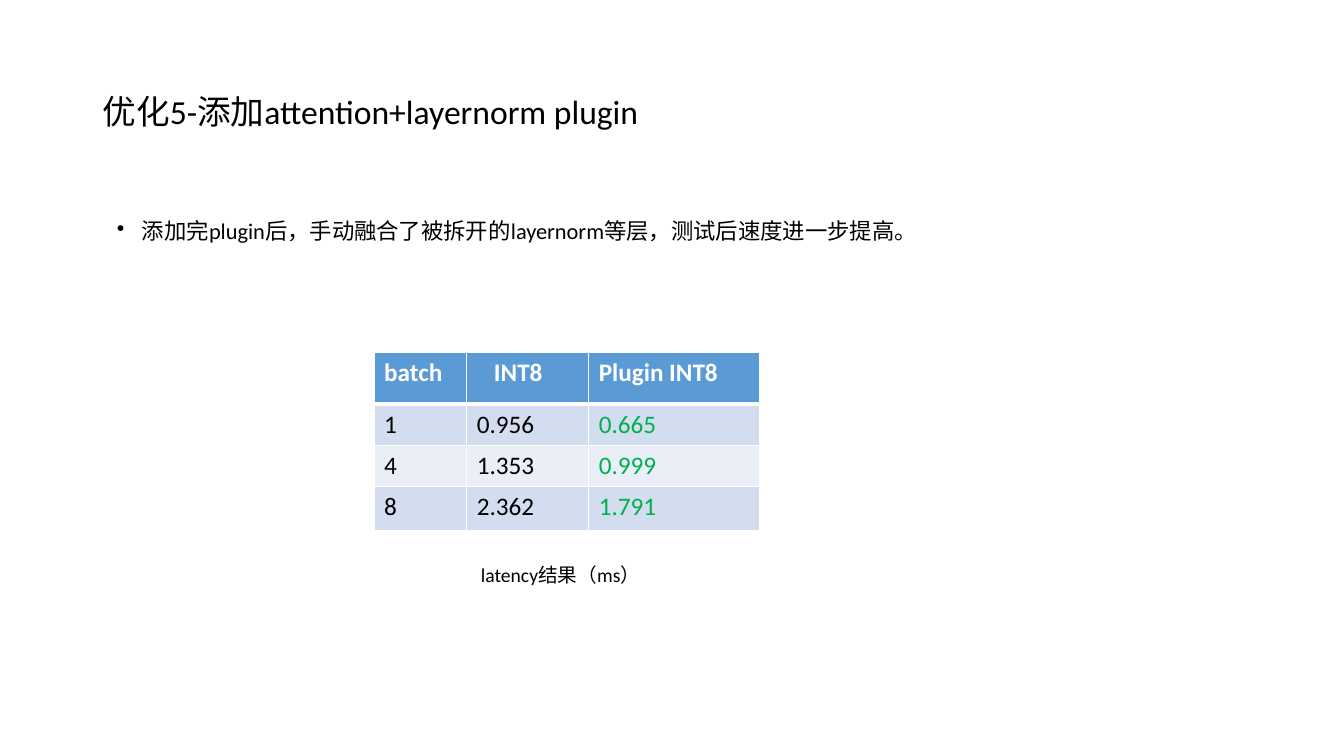
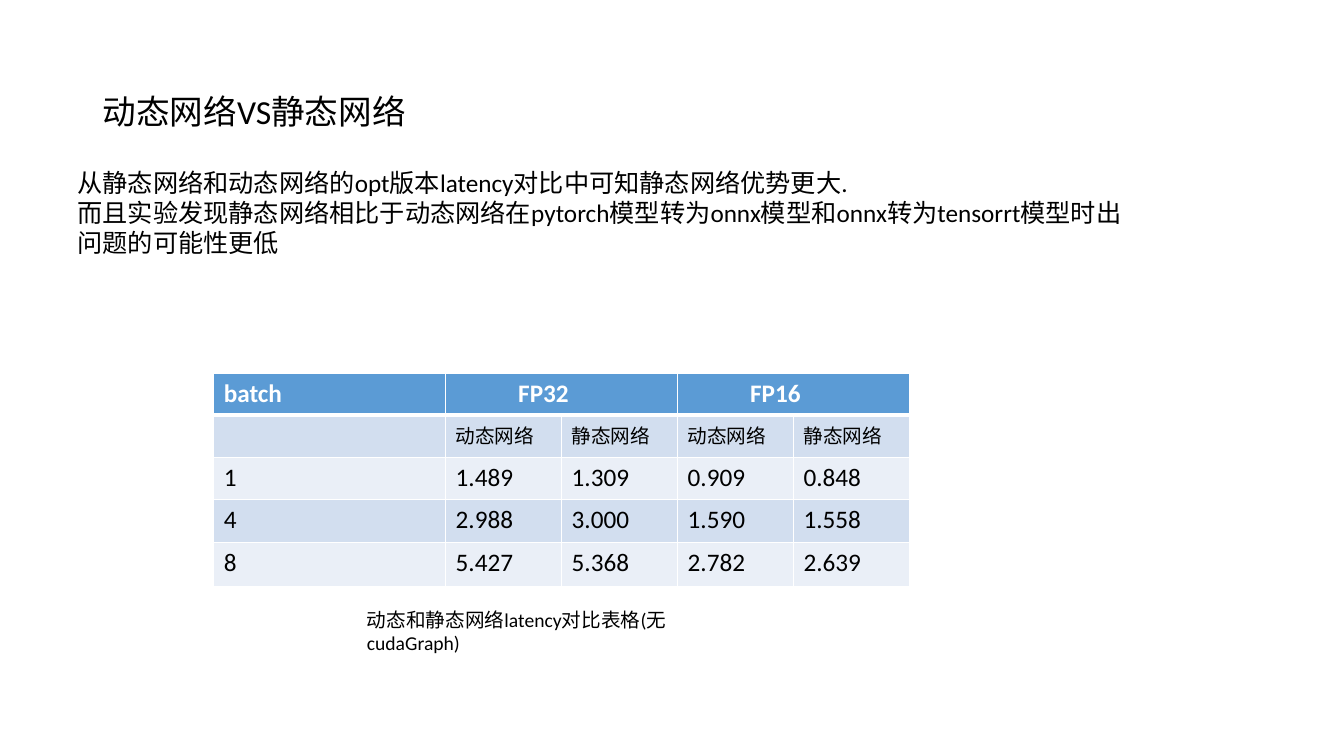
from dataclasses import dataclass
from typing import Optional

from lxml.etree import SubElement
from pptx import Presentation
from pptx.dml.color import RGBColor
from pptx.enum.text import MSO_ANCHOR, MSO_AUTO_SIZE
from pptx.oxml import parse_xml
from pptx.oxml.ns import nsdecls, qn
from pptx.util import Inches, Pt


@dataclass(frozen=True)
class Theme:
    font: str = "Calibri"
    text: str = "000000"
    white: str = "FFFFFF"
    better: str = "00B050"
    header: str = "5B9BD5"
    bands: tuple[str, str] = ("D2DEEF", "EAEFF7")
    title_size: int = 24
    body_size: int = 18
    bullet_size: int = 16
    small_size: int = 14
    rule: float = 1
    header_rule: float = 3


THEME = Theme()


@dataclass(frozen=True)
class Box:
    left: float
    top: float
    width: float
    height: float

    def lengths(self) -> tuple[int, int, int, int]:
        return (Inches(self.left), Inches(self.top),
                Inches(self.width), Inches(self.height))


@dataclass(frozen=True)
class LatencyTable:
    box: Box
    columns: tuple[float, ...]
    heights: tuple[float, ...]
    rows: tuple[tuple[str, ...], ...]
    header_inset: float
    merged_headers: tuple[tuple[int, int], ...] = ()
    subheader_row: Optional[int] = None
    better_column: Optional[int] = None


TITLE_BOX = Box(0.92, 0.4, 11.5, 1.45)

PLUGIN_TABLE = LatencyTable(
    box=Box(3.71, 3.5, 3.82, 1.77),
    columns=(0.92, 1.21, 1.69),
    heights=(0.51, 0.41, 0.41, 0.43),
    rows=(
        ("batch", "INT8", "Plugin INT8"),
        ("1", "0.956", "0.665"),
        ("4", "1.353", "0.999"),
        ("8", "2.362", "1.791"),
    ),
    header_inset=0.27,
    better_column=2,
)

NETWORK_TABLE = LatencyTable(
    box=Box(2.12, 3.7, 6.9, 2.11),
    columns=(2.3,) + (1.15,) * 4,
    heights=(0.42,) * 4 + (0.44,),
    rows=(
        ("batch", "FP32", "", "FP16", ""),
        ("",) + ("动态网络", "静态网络") * 2,
        ("1", "1.489", "1.309", "0.909", "0.848"),
        ("4", "2.988", "3.000", "1.590", "1.558"),
        ("8", "5.427", "5.368", "2.782", "2.639"),
    ),
    header_inset=0.72,
    merged_headers=((1, 2), (3, 4)),
    subheader_row=1,
)


def write(frame, text: str, *, size: int, color: str = THEME.text,
          bold: bool = False, line_spacing: Optional[float] = None,
          space_before: Optional[float] = None, bullet: bool = False) -> None:
    """Fill a text frame, one paragraph for each line of text."""
    for index, line in enumerate(text.split("\n")):
        paragraph = frame.add_paragraph() if index else frame.paragraphs[0]
        if line_spacing is not None:
            paragraph.line_spacing = line_spacing
        if space_before is not None:
            paragraph.space_before = Pt(space_before)
        if bullet:
            properties = paragraph._p.get_or_add_pPr()
            properties.set("marL", str(Inches(0.25)))
            properties.set("indent", str(Inches(-0.25)))
            SubElement(properties, qn("a:buChar")).set("char", "•")
        run = paragraph.add_run()
        run.text = line
        run.font.name = THEME.font
        run.font.size = Pt(size)
        run.font.bold = bold
        run.font.color.rgb = RGBColor.from_string(color)


def add_text(slide, box: Box, text: str, *, wrap: bool = True,
             grow: bool = False, anchor: MSO_ANCHOR = MSO_ANCHOR.TOP,
             **text_format) -> None:
    frame = slide.shapes.add_textbox(*box.lengths()).text_frame
    frame.word_wrap = wrap
    frame.auto_size = MSO_AUTO_SIZE.SHAPE_TO_FIT_TEXT if grow else MSO_AUTO_SIZE.NONE
    frame.vertical_anchor = anchor
    write(frame, text, **text_format)


def add_caption(slide, box: Box, text: str) -> None:
    add_text(slide, box, text, wrap=False, grow=True, size=THEME.small_size)


def set_borders(cell, *, top: float, bottom: float) -> None:
    properties = cell._tc.get_or_add_tcPr()
    widths = {"lnL": THEME.rule, "lnR": THEME.rule, "lnT": top, "lnB": bottom}
    for position, (edge, width) in enumerate(widths.items()):
        properties.insert(position, parse_xml(
            f'<a:{edge} {nsdecls("a")} w="{Pt(width)}"><a:solidFill>'
            f'<a:srgbClr val="{THEME.white}"/></a:solidFill></a:{edge}>'))


def add_latency_table(slide, data: LatencyTable) -> None:
    table = slide.shapes.add_table(
        len(data.rows), len(data.columns), *data.box.lengths()).table
    for column, width in zip(table.columns, data.columns):
        column.width = Inches(width)
    for row, height in zip(table.rows, data.heights):
        row.height = Inches(height)
    for first, last in data.merged_headers:
        table.cell(0, first).merge(table.cell(0, last))

    for row_index, values in enumerate(data.rows):
        is_header = row_index == 0
        fill = THEME.header if is_header else THEME.bands[(row_index - 1) % 2]
        size = THEME.small_size if row_index == data.subheader_row else THEME.body_size
        for column_index, value in enumerate(values):
            cell = table.cell(row_index, column_index)
            cell.fill.solid()
            cell.fill.fore_color.rgb = RGBColor.from_string(fill)
            set_borders(
                cell,
                top=THEME.header_rule if row_index == 1 else THEME.rule,
                bottom=THEME.header_rule if is_header else THEME.rule)
            if not value:
                continue
            if is_header:
                color = THEME.white
                if column_index in (1, 3):
                    cell.margin_left = Inches(data.header_inset)
            elif column_index == data.better_column:
                color = THEME.better
            else:
                color = THEME.text
            write(cell.text_frame, value, size=size, color=color, bold=is_header)


def add_titled_slide(presentation, title: str):
    slide = presentation.slides.add_slide(presentation.slide_layouts[6])
    add_text(slide, TITLE_BOX, title, anchor=MSO_ANCHOR.MIDDLE,
             size=THEME.title_size, line_spacing=0.9)
    return slide


def add_plugin_slide(presentation) -> None:
    slide = add_titled_slide(presentation, "优化5-添加attention+layernorm plugin")
    add_latency_table(slide, PLUGIN_TABLE)
    add_text(slide, Box(1.06, 2.14, 8.88, 4.76),
             "添加完plugin后，手动融合了被拆开的layernorm等层，测试后速度进一步提高。",
             size=THEME.bullet_size, line_spacing=0.9, space_before=10, bullet=True)
    add_caption(slide, Box(4.67, 5.54, 1.78, 0.34), "latency结果（ms）")


def add_network_slide(presentation) -> None:
    slide = add_titled_slide(presentation, "动态网络VS静态网络")
    add_latency_table(slide, NETWORK_TABLE)
    add_text(slide, Box(0.67, 1.61, 10.75, 1),
             "从静态网络和动态网络的opt版本latency对比中可知静态网络优势更大.\n"
             "而且实验发现静态网络相比于动态网络在pytorch模型转为onnx模型和onnx转为"
             "tensorrt模型时出问题的可能性更低",
             size=THEME.body_size, grow=True)
    add_caption(slide, Box(3.54, 5.98, 4.08, 0.34),
                "动态和静态网络latency对比表格(无cudaGraph)")


def main() -> None:
    presentation = Presentation()
    presentation.slide_width = Inches(13.33)
    presentation.slide_height = Inches(7.5)
    add_plugin_slide(presentation)
    add_network_slide(presentation)
    presentation.save("out.pptx")


if __name__ == "__main__":
    main()
